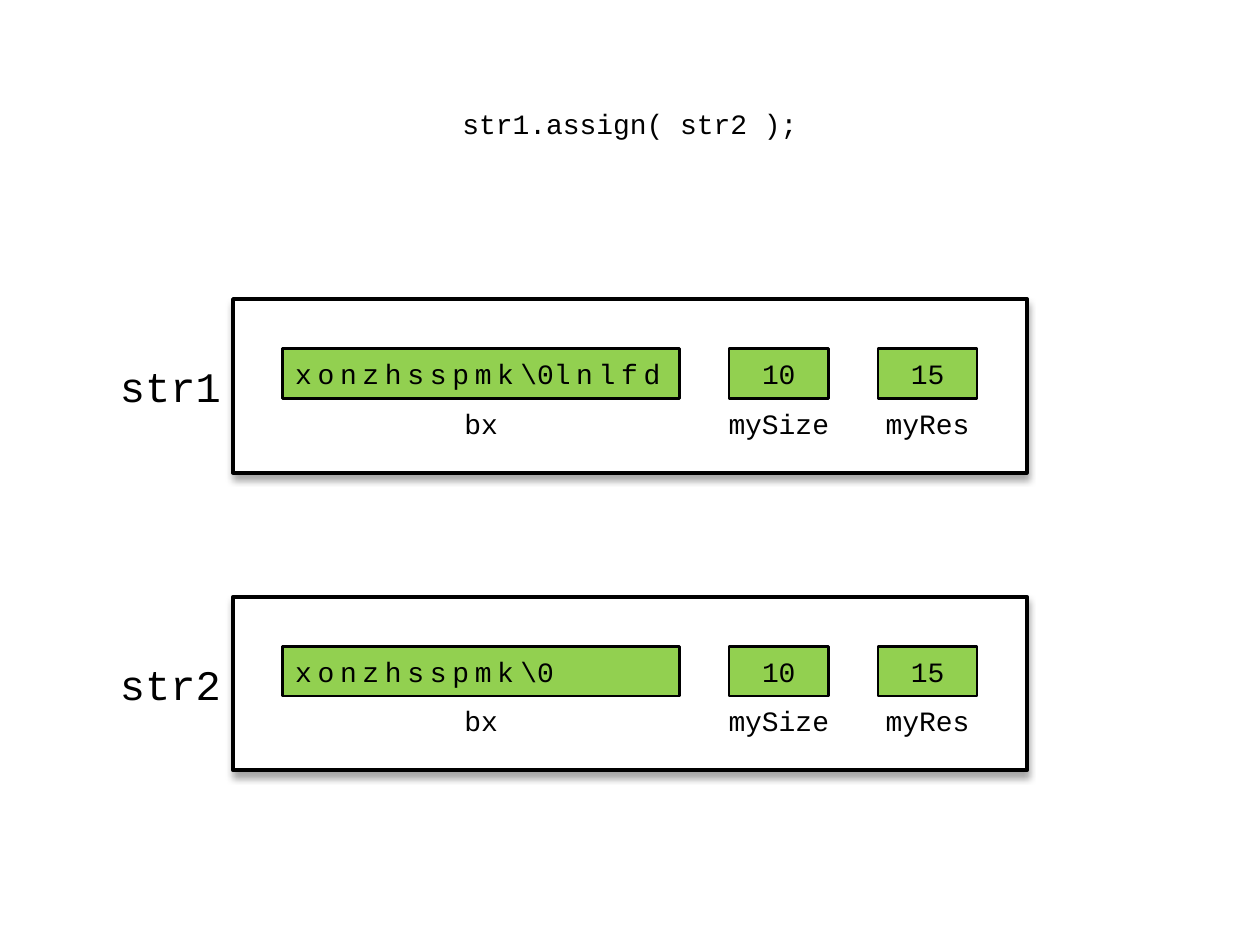
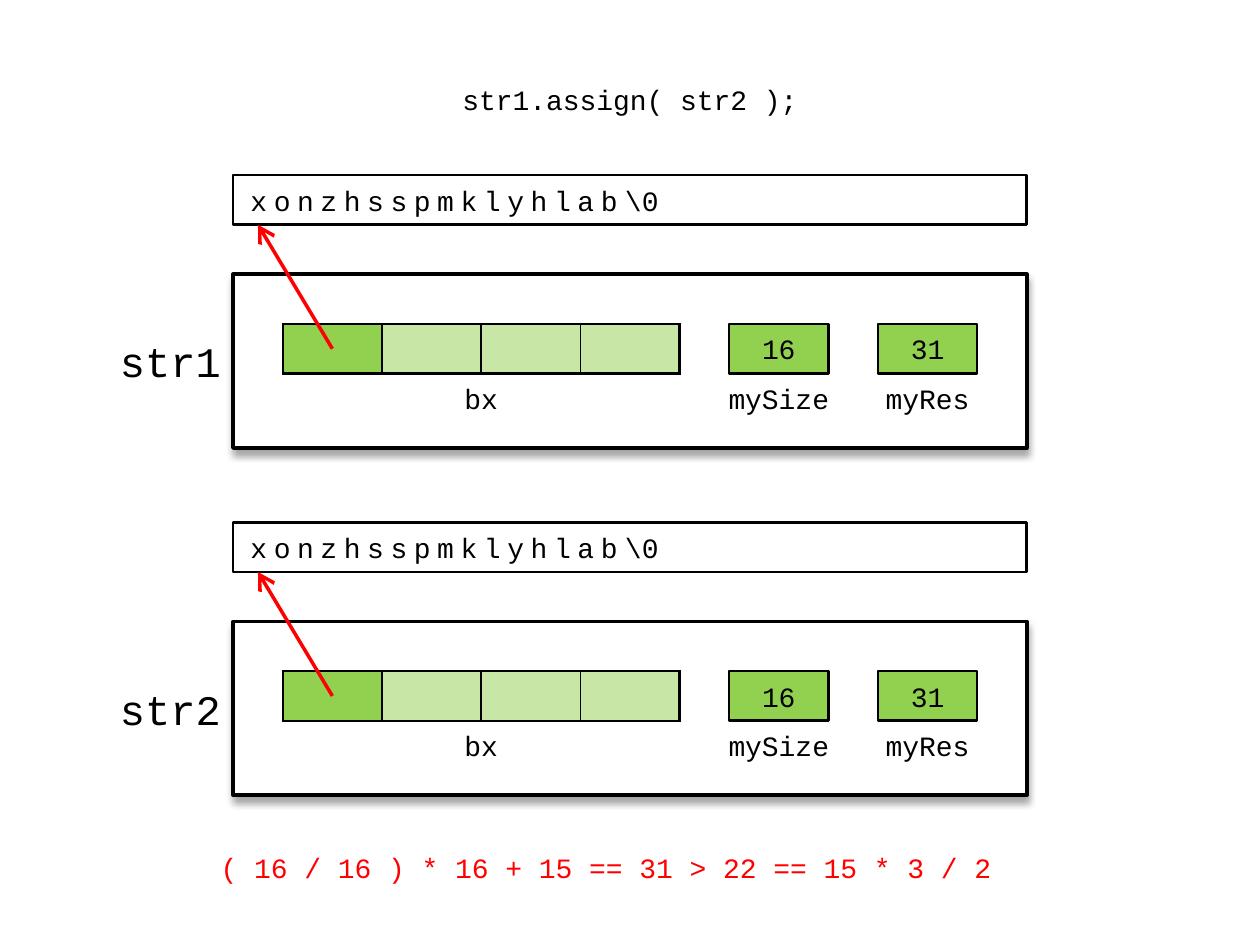
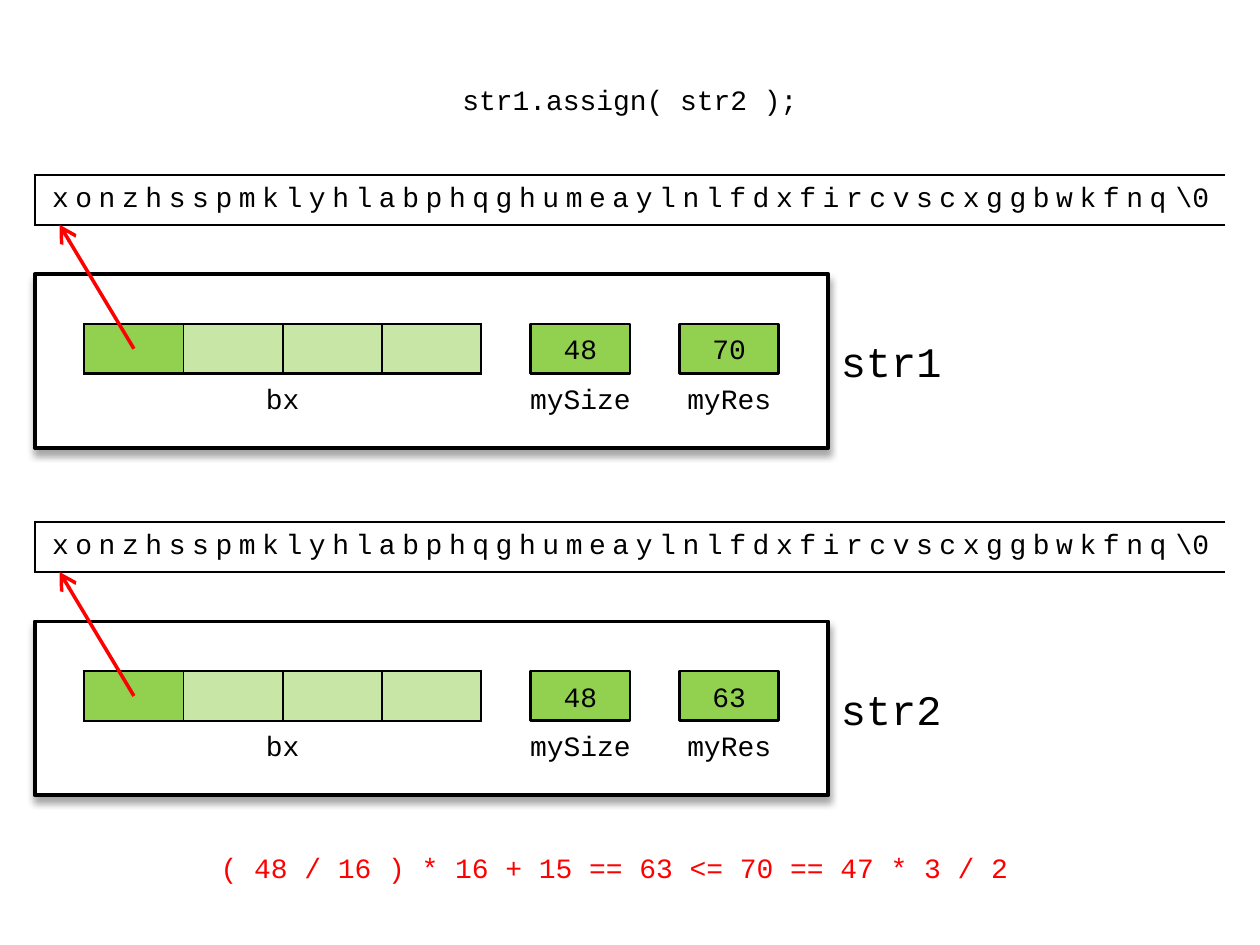
from lxml import etree
from pptx import Presentation
from pptx.dml.color import RGBColor
from pptx.enum.shapes import MSO_CONNECTOR, MSO_SHAPE as SHAPE
from pptx.enum.text import MSO_ANCHOR as ANCHOR, MSO_AUTO_SIZE, PP_ALIGN as ALIGN
from pptx.oxml import parse_xml
from pptx.oxml.ns import nsdecls, qn
from pptx.util import Cm, Pt

FONT = "Courier New"
BLACK, WHITE, GREEN, RED = "000000", "FFFFFF", "92D050", "FF0000"
PALE = 50  # opacity in percent of the unused union cells
UNIT = 1  # height of every field, in cm
FRAME_W, FRAME_H = 16, 3.5
NUL = "\\0"
rgb = RGBColor.from_string

SHADOW = f"""<a:effectLst {nsdecls('a')}>
  <a:outerShdw blurRad="50800" dist="38100" dir="5400000" algn="t" rotWithShape="0">
    <a:srgbClr val="{BLACK}"><a:alpha val="35000"/></a:srgbClr>
  </a:outerShdw>
</a:effectLst>"""


def write(tf, text, size=16, color=BLACK, align=ALIGN.CENTER, spacing=0):
    """Fill a text frame; the two characters of NUL are drawn close together."""
    p = tf.paragraphs[0]
    p.alignment = align
    if spacing:
        before, nul, after = text.partition(NUL)
        runs = [(before, spacing), (nul[0], -1.5), (nul[1], 0), (after, spacing)]
    else:
        runs = [(text, 0)]
    for part, spc in runs:
        if not part:
            continue
        r = p.add_run()
        r.text = part
        for name, value in {"name": FONT, "size": Pt(size), "bold": False}.items():
            setattr(r.font, name, value)
        r.font.color.rgb = rgb(color)
        if spc:
            r.font._element.set("spc", str(round(spc * 100)))


def add_row(s, x, y, width, fills, closed=True):
    """Add a one-row table with an outline, open at the right unless closed."""
    n = len(fills)
    frame = s.shapes.add_table(1, n, Cm(x), Cm(y), Cm(width), Cm(UNIT))
    table = frame.table
    table.first_row = table.horz_banding = False
    for i, (cell, fill) in enumerate(zip(table.rows[0].cells, fills)):
        cell.margin_top = cell.margin_bottom = 0
        cell.vertical_anchor = ANCHOR.MIDDLE
        if fill:
            cell.fill.solid()
            cell.fill.fore_color.rgb = rgb(fill)
        else:
            cell.fill.background()
        tc_pr = cell._tc.get_or_add_tcPr()
        if fill and i:
            etree.SubElement(tc_pr.find(".//" + qn("a:srgbClr")), qn("a:alpha"),
                             val=str(PALE * 1000))
        right = 1 if i < n - 1 else 1.5 if closed else 0
        widths = {"L": 1 if i else 1.5, "R": right, "T": 1.5, "B": 1.5}
        for pos, (side, pt) in enumerate(widths.items()):
            paint = f'<a:solidFill><a:srgbClr val="{BLACK}"/></a:solidFill>' if pt else "<a:noFill/>"
            tc_pr.insert(pos, parse_xml(
                f'<a:ln{side} {nsdecls("a")} w="{Pt(pt)}">{paint}</a:ln{side}>'))
    return table


LONG = "xonzhsspmklyhlabphqghumeaylnlfdxfircvscxggbwkfnq" + NUL
SHORT = "xonzhsspmklyhlab" + NUL

# title top, frame left, frame tops, whether text is on the heap,
# (text, size, reserve) of each string, formula
SLIDES = [
    (2.03, 4.7, (6.03, 12.03), False,
     [("xonzhsspmk" + NUL + "lnlfd", 10, 15), ("xonzhsspmk" + NUL, 10, 15)], None),
    (1.53, 4.7, (5.53, 12.53), True, [(SHORT, 16, 31)] * 2,
     "( 16 / 16 ) * 16 + 15 == 31 > 22 == 15 * 3 / 2"),
    (1.53, 0.7, (5.53, 12.53), True, [(LONG, 48, 70), (LONG, 48, 63)],
     "( 48 / 16 ) * 16 + 15 == 63 <= 70 == 47 * 3 / 2"),
]

prs = Presentation()
prs.slide_width, prs.slide_height = Cm(25.4), Cm(19.05)

for title_top, left, tops, on_heap, strings, formula in SLIDES:
    s = prs.slides.add_slide(prs.slide_layouts[5])
    title = s.shapes.title
    title.left, title.top, title.width, title.height = Cm(8.7), Cm(title_top), Cm(8), Cm(UNIT)
    title.text_frame.auto_size = MSO_AUTO_SIZE.NONE
    title.text_frame.vertical_anchor = ANCHOR.TOP
    write(title.text_frame, "str1.assign( str2 );")

    label_on_right = left < 2.5
    label_left = left + FRAME_W if label_on_right else left - 2.5
    label_align = ALIGN.LEFT if label_on_right else ALIGN.RIGHT
    outer_margin = "margin_right" if label_on_right else "margin_left"
    wide = len(strings[0][0]) > 40

    for number, (top, (text, size, reserve)) in enumerate(zip(tops, strings), 1):
        label = s.shapes.add_textbox(Cm(label_left), Cm(top + 1), Cm(2.5), Cm(1.5))
        tf = label.text_frame
        for name, value in {"word_wrap": True, "vertical_anchor": ANCHOR.MIDDLE,
                            outer_margin: Cm(0.15)}.items():
            setattr(tf, name, value)
        write(tf, f"str{number}", 24, align=label_align)

        # x and y from the frame corner, width, height, fill, line width, text, spacing
        boxes = [
            (0, 0, FRAME_W, FRAME_H, WHITE, 2.25, "", 0),
            (4, 2, 2, UNIT, None, 0, "bx", 0),
            (9.5, 2, 3, UNIT, None, 0, "mySize", 0),
            (12.5, 2, 3, UNIT, None, 0, "myRes", 0),
            (10, 1, 2, UNIT, GREEN, 1.5, str(size), 0),
            (13, 1, 2, UNIT, GREEN, 1.5, str(reserve), 0),
        ]
        if not on_heap:
            boxes.append((1, 1, 8, UNIT, GREEN, 1.5, text, 3.3))
        elif not wide:
            boxes.append((0, -2, FRAME_W, UNIT, WHITE, 1.5, text, 3.8))

        for x, y, w, h, fill, line, words, spacing in boxes:
            kind = SHAPE.RECTANGLE if line == 1.5 else SHAPE.FLOWCHART_PROCESS
            box = s.shapes.add_shape(kind, Cm(left + x), Cm(top + y), Cm(w), Cm(h))
            if h == FRAME_H:
                box._element.spPr.append(parse_xml(SHADOW))
            else:
                box.shadow.inherit = False
            if fill:
                box.fill.solid()
                box.fill.fore_color.rgb = rgb(fill)
                box.line.color.rgb = rgb(BLACK)
                box.line.width = Pt(line)
            else:
                box.fill.background()
                box.line.fill.background()
            if words:
                tf = box.text_frame
                tf.vertical_anchor = ANCHOR.MIDDLE
                if y < 0:
                    tf.margin_left = Cm(0.35)
                write(tf, words, align=ALIGN.LEFT if spacing else ALIGN.CENTER, spacing=spacing)

        if on_heap:
            add_row(s, left + 1, top + 1, 8, [GREEN] * 4)
            if wide:
                cell = add_row(s, left, top - 2, 24, [None], closed=False).cell(0, 0)
                cell.margin_left = Cm(0.35)
                write(cell.text_frame, text, align=ALIGN.LEFT, spacing=3.8)
            arrow = s.shapes.add_connector(MSO_CONNECTOR.STRAIGHT, Cm(left + 2), Cm(top + 1.5),
                                           Cm(left + 0.5), Cm(top - 1))
            arrow.line.color.rgb = rgb(RED)
            arrow.line.width = Pt(2)
            etree.SubElement(arrow.line._get_or_add_ln(), qn("a:tailEnd"),
                             type="arrow", w="lg", len="lg")
            etree.SubElement(arrow._element.spPr, qn("a:effectLst"))

    if formula:
        note = s.shapes.add_textbox(Cm(4.2), Cm(17.02), Cm(17), Cm(UNIT))
        note.text_frame.word_wrap = True
        write(note.text_frame, formula, color=RED, align=ALIGN.LEFT)

prs.save("out.pptx")
